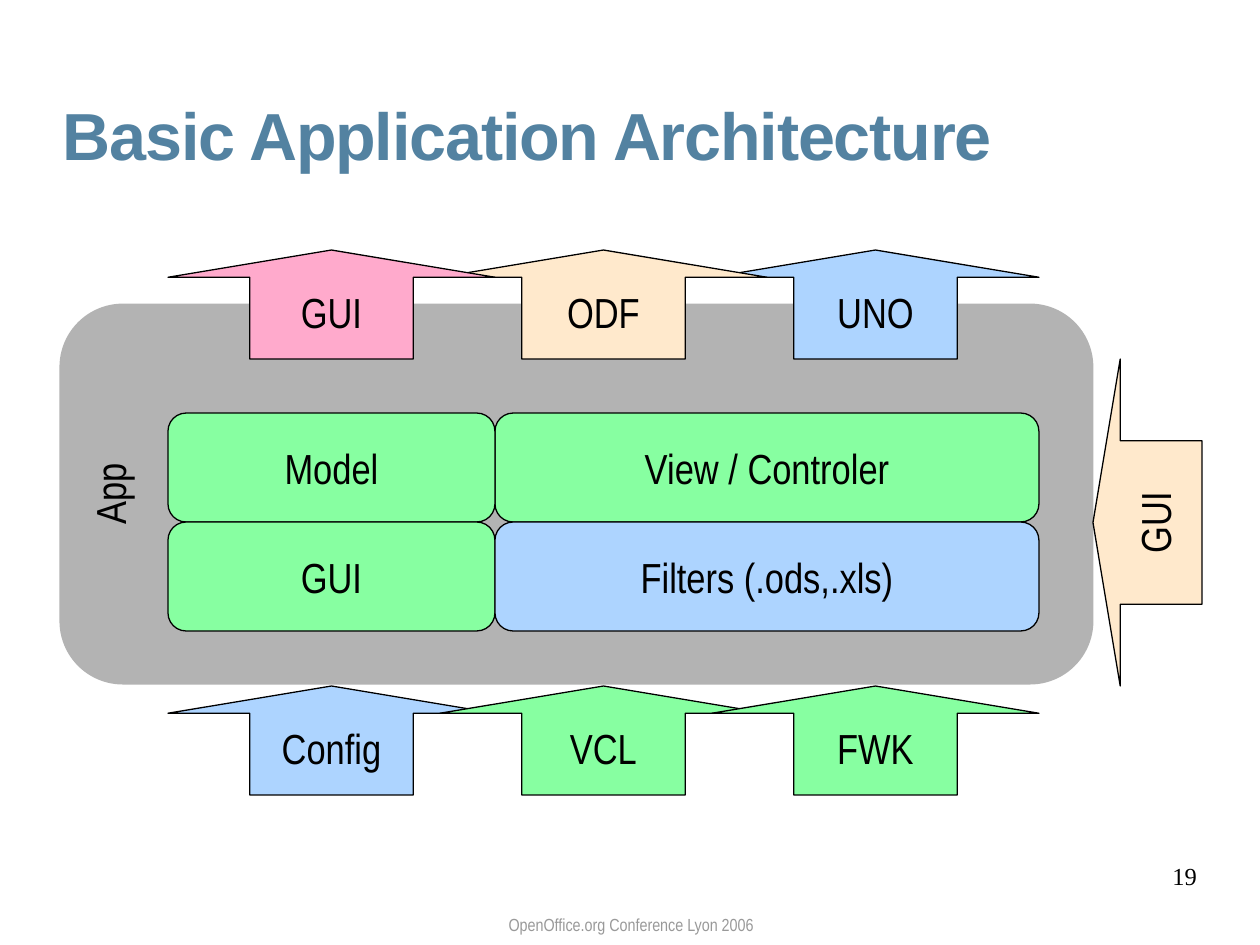
from dataclasses import dataclass

from pptx import Presentation
from pptx.dml.color import RGBColor
from pptx.enum.shapes import MSO_SHAPE
from pptx.enum.text import MSO_ANCHOR, PP_ALIGN
from pptx.util import Emu, Pt

PX_PER_INCH = 126


@dataclass(frozen=True)
class Theme:
    title: str = "5382A1"
    footer: str = "999999"
    ink: str = "000000"
    gray: str = "B3B3B3"
    green: str = "87FFA1"
    blue: str = "ADD4FF"
    cream: str = "FFE9CC"
    pink: str = "FFAACC"
    title_size: int = 38
    label_size: int = 24
    number_size: int = 14
    footer_size: int = 10


THEME = Theme()


@dataclass(frozen=True)
class Style:
    font: str
    size: int
    color: str
    align: PP_ALIGN = PP_ALIGN.CENTER
    bold: bool = False
    line_spacing: float = 1.0
    tracking: int = 0  # hundredths of a point


@dataclass(frozen=True)
class Caption:
    text: str
    left: int
    top: int
    width: int
    height: int
    style: Style
    anchor: MSO_ANCHOR = MSO_ANCHOR.TOP


@dataclass(frozen=True)
class Block:
    text: str
    left: int
    top: int
    width: int
    height: int
    fill: str
    kind: MSO_SHAPE = MSO_SHAPE.ROUNDED_RECTANGLE
    rotation: int = 0
    outlined: bool = True
    anchor: MSO_ANCHOR = MSO_ANCHOR.MIDDLE


LABEL = Style("Arial Narrow", THEME.label_size, THEME.ink)


def px(length: int) -> Emu:
    return Emu(round(length * 914400 / PX_PER_INCH))


def write(frame, text: str, style: Style) -> None:
    para = frame.paragraphs[0]
    para.alignment = style.align
    para.line_spacing = style.line_spacing
    span = para.add_run()
    span.text = text
    span.font.name = style.font
    span.font.size = Pt(style.size)
    span.font.bold = style.bold
    span.font.color.rgb = RGBColor.from_string(style.color)
    if style.tracking:
        span.font._element.set("spc", str(style.tracking))


def draw_caption(page, caption: Caption) -> None:
    box = page.shapes.add_textbox(
        px(caption.left), px(caption.top), px(caption.width), px(caption.height))
    frame = box.text_frame
    frame.word_wrap = True
    frame.vertical_anchor = caption.anchor
    frame.margin_left = frame.margin_right = 0
    frame.margin_top = frame.margin_bottom = 0
    write(frame, caption.text, caption.style)


def draw_block(page, block: Block) -> None:
    shape = page.shapes.add_shape(
        block.kind, px(block.left), px(block.top), px(block.width), px(block.height))
    shape.rotation = block.rotation
    shape.shadow.inherit = False
    shape.fill.solid()
    shape.fill.fore_color.rgb = RGBColor.from_string(block.fill)
    if block.outlined:
        shape.line.color.rgb = RGBColor.from_string(THEME.ink)
        shape.line.width = Pt(0)
    else:
        shape.line.fill.background()
    if block.kind == MSO_SHAPE.UP_ARROW:
        shape.adjustments[0] = 0.5
        shape.adjustments[1] = 0.25
    shape.text_frame.word_wrap = True
    shape.text_frame.vertical_anchor = block.anchor
    write(shape.text_frame, block.text, LABEL)


# Grid shared by arrows and components
GRID_LEFT, COLUMN_STEP = 168, 272
NARROW, WIDE, ROW = 327, 544, 109
OUTPUT_TOP, CORE_TOP, INPUT_TOP = 250, 413, 686


def arrow(text: str, column: int, top: int, fill: str) -> Block:
    return Block(text, GRID_LEFT + column * COLUMN_STEP, top, NARROW, ROW, fill,
                 MSO_SHAPE.UP_ARROW)


def component(text: str, column: int, row: int, fill: str) -> Block:
    return Block(text, GRID_LEFT + column * NARROW, CORE_TOP + row * ROW,
                 (NARROW, WIDE)[column], ROW, fill)


CAPTIONS = [
    Caption("OpenOffice.org Conference Lyon 2006", 387, 906, 488, 29,
            Style("Arial Narrow", THEME.footer_size, THEME.footer, line_spacing=0.85),
            MSO_ANCHOR.BOTTOM),
    Caption("19", 903, 861, 294, 66,
            Style("Times New Roman", THEME.number_size, THEME.ink, PP_ALIGN.RIGHT)),
    Caption("Basic Application Architecture", 63, 103, 1144, 87,
            Style("Arial", THEME.title_size, THEME.title, PP_ALIGN.LEFT,
                  bold=True, line_spacing=0.9, tracking=-70)),
]

# Back to front
BLOCKS = [
    Block("App", 386, -23, 381, 1034, THEME.gray, rotation=270, outlined=False,
          anchor=MSO_ANCHOR.TOP),
    component("View / Controler", 1, 0, THEME.green),
    component("Model", 0, 0, THEME.green),
    component("GUI", 0, 1, THEME.green),
    component("Filters (.ods,.xls)", 1, 1, THEME.blue),
    arrow("Config", 0, INPUT_TOP, THEME.blue),
    arrow("VCL", 1, INPUT_TOP, THEME.green),
    arrow("FWK", 2, INPUT_TOP, THEME.green),
    arrow("UNO", 2, OUTPUT_TOP, THEME.blue),
    arrow("ODF", 1, OUTPUT_TOP, THEME.cream),
    arrow("GUI", 0, OUTPUT_TOP, THEME.pink),
    Block("GUI", 984, 468, NARROW, ROW, THEME.cream, MSO_SHAPE.UP_ARROW, rotation=270),
]


def main() -> None:
    deck = Presentation()
    deck.slide_width, deck.slide_height = px(1260), px(945)
    page = deck.slides.add_slide(deck.slide_layouts[6])
    for caption in CAPTIONS:
        draw_caption(page, caption)
    for block in BLOCKS:
        draw_block(page, block)
    deck.save("out.pptx")


if __name__ == "__main__":
    main()
